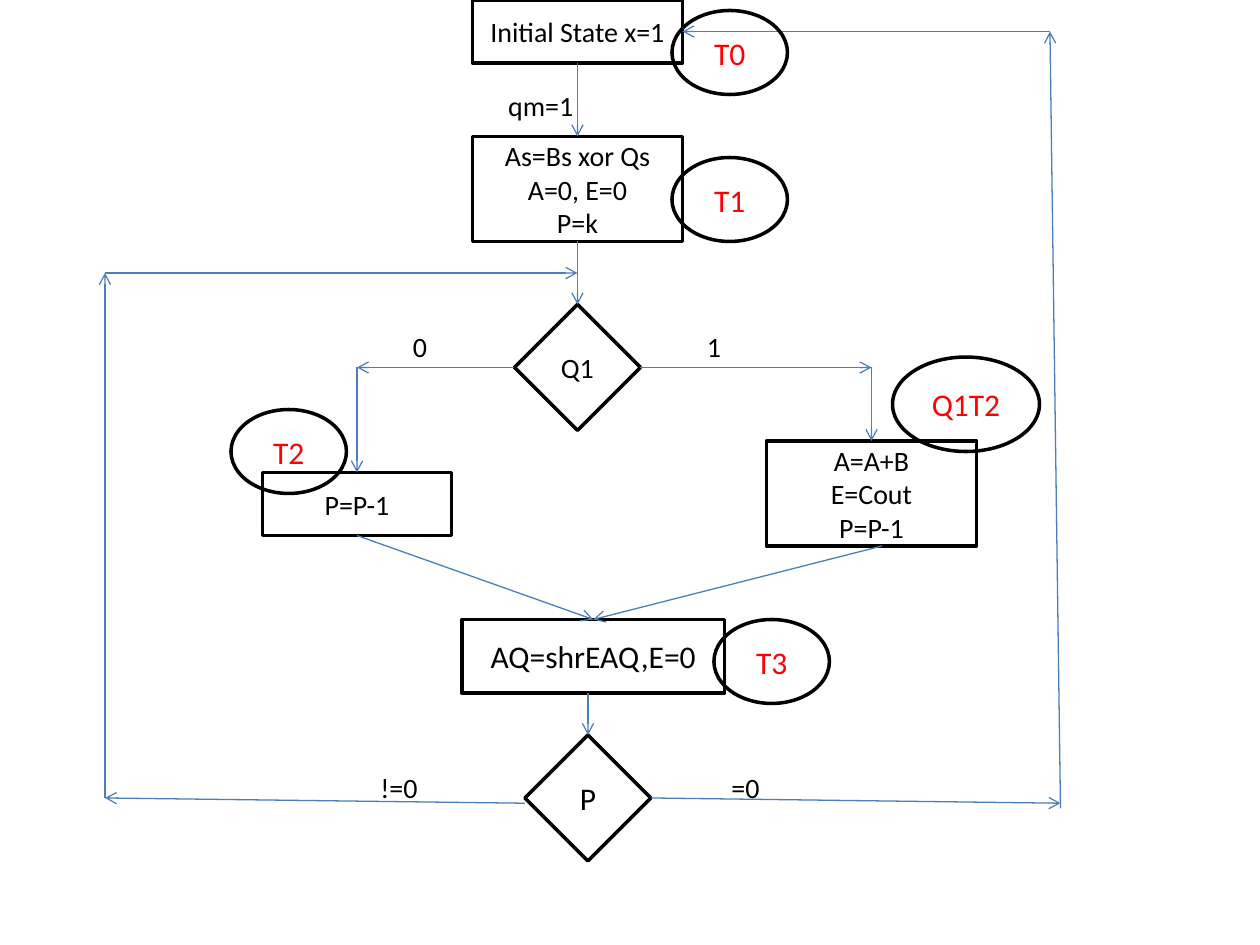
from typing import NamedTuple

from lxml import etree
from pptx import Presentation
from pptx.dml.color import RGBColor
from pptx.enum.shapes import MSO_CONNECTOR, MSO_SHAPE
from pptx.enum.text import MSO_ANCHOR, PP_ALIGN
from pptx.oxml.ns import qn
from pptx.util import Pt

BLACK = RGBColor(0x00, 0x00, 0x00)
RED = RGBColor(0xFF, 0x00, 0x00)
BLUE = RGBColor(0x4B, 0x7E, 0xBC)
FONT = "Calibri"
RECT = MSO_SHAPE.RECTANGLE
DIAMOND = MSO_SHAPE.DIAMOND
OVAL = MSO_SHAPE.OVAL
STRAIGHT = MSO_CONNECTOR.STRAIGHT
MIDDLE = MSO_ANCHOR.MIDDLE
CENTER = PP_ALIGN.CENTER
BLANK_LAYOUT = 6

FRAME_FORMAT = {
    "word_wrap": True, "vertical_anchor": MIDDLE,
    "margin_left": 0, "margin_right": 0, "margin_top": 0, "margin_bottom": 0,
}


class Node(NamedTuple):
    kind: int
    left: float
    top: float
    width: float
    height: float
    lines: tuple[str, ...]
    size: int = 16
    color: RGBColor = BLACK


class Label(NamedTuple):
    left: float
    top: float
    text: str
    width: float = 72
    height: float = 36


class Arrow(NamedTuple):
    x1: float
    y1: float
    x2: float
    y2: float


def timing(left: float, top: float, name: str, width: float = 66, height: float = 48) -> Node:
    """A red timing state in an oval."""
    return Node(OVAL, left, top, width, height, (name,), 18, RED)


def write_text(frame, lines: tuple[str, ...], size: int, color: RGBColor) -> None:
    for key, value in FRAME_FORMAT.items():
        setattr(frame, key, value)
    frame.text = "\n".join(lines)
    for paragraph in frame.paragraphs:
        paragraph.alignment = CENTER
        for key, value in {"name": FONT, "size": Pt(size)}.items():
            setattr(paragraph.font, key, value)
        paragraph.font.color.rgb = color


def draw_node(shapes, node: Node) -> None:
    outline = shapes.add_shape(
        node.kind, Pt(node.left), Pt(node.top), Pt(node.width), Pt(node.height))
    outline.shadow.inherit = False
    outline.fill.background()
    outline.line.color.rgb = BLACK
    outline.line.width = Pt(2)
    write_text(outline.text_frame, node.lines, node.size, node.color)


def draw_label(shapes, label: Label) -> None:
    box = shapes.add_textbox(
        Pt(label.left), Pt(label.top), Pt(label.width), Pt(label.height))
    write_text(box.text_frame, (label.text,), 16, BLACK)


def draw_arrow(shapes, arrow: Arrow) -> None:
    flow = shapes.add_connector(STRAIGHT, *(Pt(value) for value in arrow))
    flow.line.color.rgb = BLUE
    flow.line.width = Pt(0.75)
    etree.SubElement(flow.line._get_or_add_ln(), qn("a:tailEnd"), type="arrow")
    etree.SubElement(flow._element.spPr, qn("a:effectLst"))


# Operations and decisions
STEPS = [
    Node(RECT, 270, 0, 120, 36, ("Initial State x=1",)),
    Node(RECT, 150, 270, 108, 36, ("P=P-1",)),
    Node(DIAMOND, 294, 174, 72, 72, ("Q1",)),
    Node(RECT, 270, 78, 120, 60, ("As=Bs xor Qs", "A=0, E=0", "P=k")),
    Node(RECT, 438, 252, 120, 60, ("A=A+B", "E=Cout", "P=P-1")),
    Node(DIAMOND, 300, 420, 72, 72, ("P",), 18),
    Node(RECT, 264, 354, 150, 42, ("AQ=shrEAQ,E=0",), 18),
]

FLOWS = [
    # Start to the Q1 decision
    Arrow(330, 36, 330, 78),
    Arrow(330, 138, 330, 174),
    # Q1 branches
    Arrow(294, 210, 204, 210),
    Arrow(204, 210, 204, 270),
    Arrow(366, 210, 498, 210),
    Arrow(498, 210, 498, 252),
    # Merge into the shift, then the P decision
    Arrow(204, 306, 339, 354),
    Arrow(504, 312, 339, 354),
    Arrow(336, 396, 336, 420),
    # Loop back while P is not zero
    Arrow(300, 459, 60, 456),
    Arrow(60, 456, 60, 156),
    Arrow(60, 156, 330, 156),
    # Return to the initial state
    Arrow(372, 456, 606, 459),
    Arrow(606, 462, 600, 18),
    Arrow(600, 18, 390, 18),
]

CONDITIONS = [
    Label(282, 42, "qm=1", width=54),
    Label(204, 180, "0"),
    Label(372, 180, "1"),
    Label(390, 432, "=0"),
    Label(192, 432, "!=0"),
]

TIMINGS = [
    timing(384, 6, "T0"),
    timing(132, 234, "T2"),
    timing(510, 204, "Q1T2", 84, 54),
    timing(384, 90, "T1"),
    timing(408, 354, "T3"),
]

deck = Presentation()
deck.slide_width, deck.slide_height = Pt(720), Pt(540)
flowchart = deck.slides.add_slide(deck.slide_layouts[BLANK_LAYOUT]).shapes

# Draw from back to front
for draw, parts in (
    (draw_node, STEPS),
    (draw_arrow, FLOWS),
    (draw_label, CONDITIONS),
    (draw_node, TIMINGS),
):
    for part in parts:
        draw(flowchart, part)

deck.save("out.pptx")
